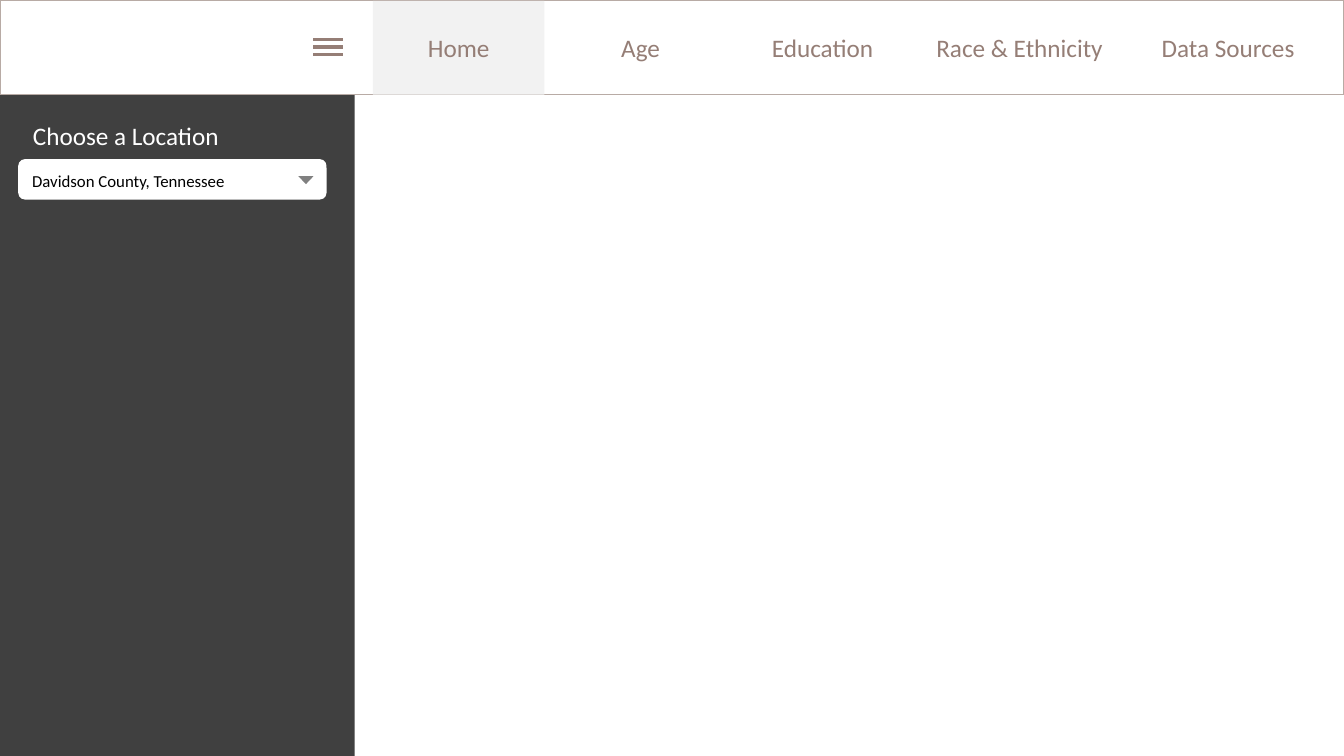
from pptx import Presentation
from pptx.dml.color import RGBColor
from pptx.enum import shapes, text
from pptx.util import Cm, Pt

COLORS = {
    "white": "FFFFFF",
    "black": "000000",
    "sidebar": "404040",
    "arrow": "808080",
    "border": "B8ABA5",
    "brown": "957E76",
    "active": "F2F2F2",
}
KINDS = shapes.MSO_SHAPE
PAGE_WIDTH, PAGE_HEIGHT = 33.87, 19.05
HEADER_HEIGHT = 2.39
# Label, width and height of each tab
TABS = [
    ("Home", 4.32, 2.36),
    ("Age", 4.83, 1.02),
    ("Education", 4.32, 1.02),
    ("Race & Ethnicity", 5.59, 1.8),
    ("Data Sources", 4.9, 1.02),
]


def color(name):
    return RGBColor.from_string(COLORS[name])


def add_block(parent, kind, box, fill, line=None):
    block = parent.add_shape(kind, *map(Cm, box))
    block.shadow.inherit = False
    block.fill.solid()
    block.fill.fore_color.rgb = color(fill)
    if line:
        block.line.color.rgb = color(line)
        block.line.width = Pt(1)
    else:
        block.line.fill.background()
    return block


def write(shape, words, size, ink, align=text.PP_ALIGN.LEFT, anchor=text.MSO_ANCHOR.TOP):
    frame = shape.text_frame
    frame.word_wrap = True
    frame.vertical_anchor = anchor
    para = frame.paragraphs[0]
    para.alignment = align
    span = para.add_run()
    span.text = words
    span.font.name = "Calibri"
    span.font.size = Pt(size)
    span.font.color.rgb = color(ink)


def add_label(parent, box, words, size, ink, **layout):
    write(parent.add_textbox(*map(Cm, box)), words, size, ink, **layout)


def add_sidebar(page, box):
    left, top, width, height = box
    parts = page.shapes.add_group_shape().shapes
    add_block(parts, KINDS.RECTANGLE, box, "sidebar")
    add_label(parts, (left + 0.58, top + 2.9, 7.77, 1.02), "Choose a Location", 18, "white")
    add_dropdown(parts, (left + 0.46, top + 4.01, 7.77, 1.02), "Davidson County, Tennessee")


def add_dropdown(parts, box, choice):
    left, top, width, height = box
    add_block(parts, KINDS.ROUNDED_RECTANGLE, box, "white")
    arrow = add_block(parts, KINDS.ISOSCELES_TRIANGLE,
                      (left + width - 0.71, top + 0.43, 0.38, 0.2), "arrow")
    arrow.rotation = 180
    add_label(parts, (left + 0.1, top + 0.16, 7.04, 0.76), choice, 12, "black")


def add_menu_icon(page, box):
    left, top, width, height = box
    bars = page.shapes.add_group_shape().shapes
    for index in range(3):
        add_block(bars, KINDS.MATH_MINUS, (left, top + index * 0.19, width, height), "brown")


def add_tabs(page, left, middle):
    """Lay the tabs side by side, centred on the height middle; the first is active."""
    centred = {"align": text.PP_ALIGN.CENTER, "anchor": text.MSO_ANCHOR.MIDDLE}
    for index, (name, width, height) in enumerate(TABS):
        box = (left, middle - height / 2, width, height)
        if index == 0:
            active = add_block(page.shapes, KINDS.RECTANGLE, box, "active")
            write(active, name, 18, "brown", **centred)
        else:
            add_label(page.shapes, box, name, 18, "brown", **centred)
        left += width + 0.01


def add_header(page, box):
    left, top, width, height = box
    add_block(page.shapes, KINDS.RECTANGLE, box, "white", "border")
    add_menu_icon(page, (left + 7.75, top + 0.81, 1.02, 0.38))
    add_tabs(page, left + 9.4, top + height / 2 + 0.01)


def main():
    deck = Presentation()
    deck.slide_width, deck.slide_height = Cm(PAGE_WIDTH), Cm(PAGE_HEIGHT)
    page = deck.slides.add_slide(deck.slide_layouts[6])
    add_sidebar(page, (0, 0, 8.94, PAGE_HEIGHT))
    add_header(page, (0, 0, PAGE_WIDTH, HEADER_HEIGHT))
    deck.save("out.pptx")


if __name__ == "__main__":
    main()
